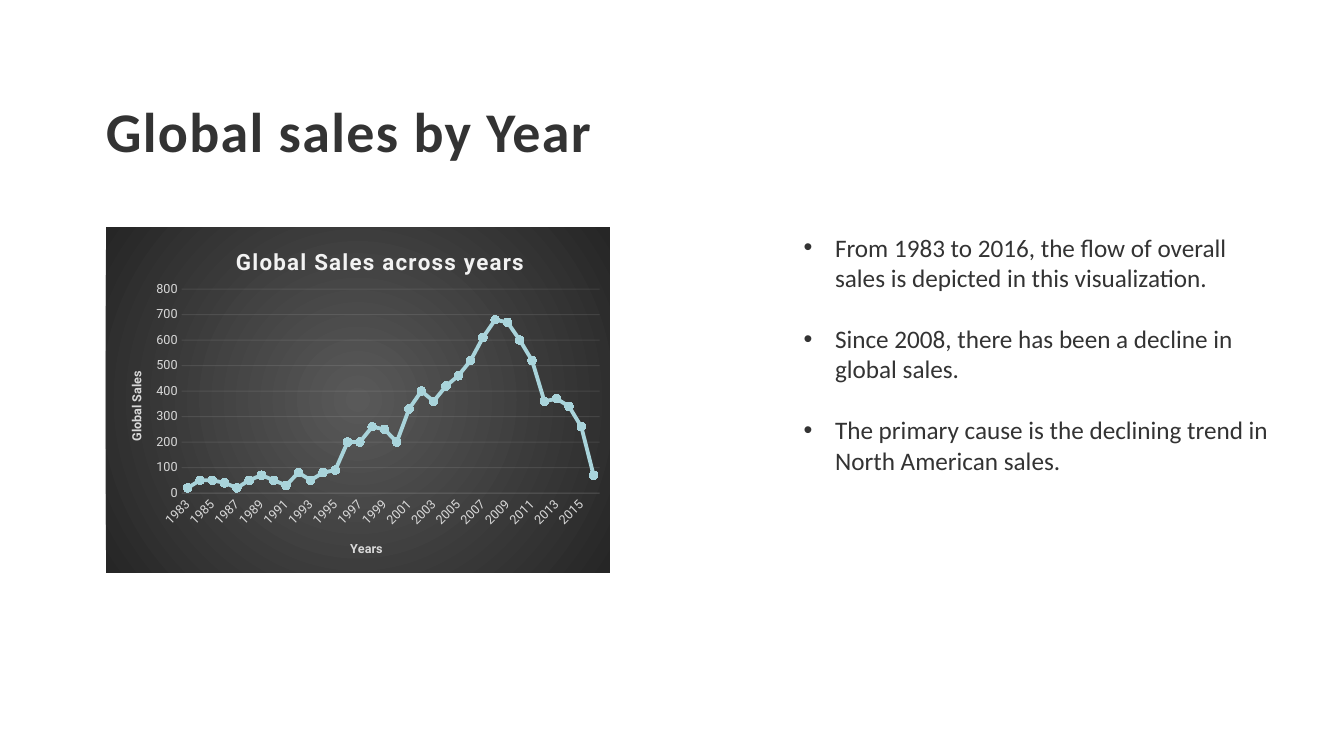
from lxml.etree import SubElement
from pptx import Presentation
from pptx.chart.data import CategoryChartData as ChartData
from pptx.dml.color import RGBColor as RGB
from pptx.enum.chart import XL_CHART_TYPE as CT, XL_MARKER_STYLE as MS, XL_TICK_MARK as TM
from pptx.enum.text import MSO_ANCHOR as ANCHOR, MSO_AUTO_SIZE as AUTO, PP_ALIGN as ALIGN
from pptx.oxml import parse_xml
from pptx.oxml.ns import nsdecls, qn
from pptx.util import Cm, Pt

COLORS = {"text": "333333", "title": "F2F2F2", "label": "D9D9D9", "grid": "F2F2F2",
          "inner": "595959", "outer": "262626", "line": "A9D4DB", "marker": "A7D6DD"}
SALES = [20, 50, 50, 40, 20, 50, 70, 50, 30, 80, 50, 80, 90, 200, 200, 260, 250,
         200, 330, 400, 360, 420, 460, 520, 610, 680, 670, 600, 520, 360, 370, 340,
         260, 70]
POINTS = ["From 1983 to 2016, the flow of overall sales is depicted in this visualization.",
          "Since 2008, there has been a decline in global sales.",
          "The primary cause is the declining trend in North American sales."]


def set_font(font, name, size, color, bold=False):
    """Format a font with a palette colour."""
    font.name, font.size, font.bold = name, Pt(size), bold
    font.color.rgb = RGB.from_string(COLORS[color])


def place(shape, box):
    """Move a shape to a box of left, top, width and height."""
    shape.left, shape.top, shape.width, shape.height = box


def add_title(s, box, text):
    """Fill the title placeholder."""
    sp = s.shapes.title
    place(sp, box)
    tf = sp.text_frame
    tf.text = text
    tf.auto_size = AUTO.NONE
    tf.vertical_anchor = ANCHOR.BOTTOM
    tf.margin_left = tf.margin_right = tf.margin_top = tf.margin_bottom = 0
    p = tf.paragraphs[0]
    p.alignment, p.line_spacing = ALIGN.LEFT, 0.9
    r = p.runs[0]
    set_font(r.font, "Calibri", 40, "text", True)
    r.font._element.set("spc", "100")


def add_points(s, box, points):
    """Fill the body placeholder with a bulleted list."""
    sp = s.placeholders[1]
    place(sp, box)
    tf = sp.text_frame
    tf.text = "\n".join(points)
    tf.auto_size = AUTO.NONE
    for p in tf.paragraphs:
        p.space_before, p.space_after = Pt(0), Pt(22)
        pPr = p._p.get_or_add_pPr()
        pPr.set("marL", str(Cm(0.79)))
        pPr.set("indent", str(-Cm(0.79)))
        pPr.append(parse_xml(f'<a:buFont {nsdecls("a")} typeface="Arial"/>'))
        pPr.append(parse_xml(f'<a:buChar {nsdecls("a")} char="•"/>'))
        set_font(p.runs[0].font, "Calibri", 18, "text")


def make_layout(x, y, w=None, h=None):
    """Return a manual chart layout in fractions of the chart."""
    inner = '<c:layoutTarget val="inner"/>' if w else ""
    size = f'<c:w val="{w}"/><c:h val="{h}"/>' if w else ""
    return parse_xml(f'<c:layout {nsdecls("c")}><c:manualLayout>{inner}'
                     '<c:xMode val="edge"/><c:yMode val="edge"/>'
                     f'<c:x val="{x}"/><c:y val="{y}"/>{size}'
                     '</c:manualLayout></c:layout>')


def set_layout(parent, layout, index):
    """Replace the layout of a chart part."""
    for old in parent.findall(qn("c:layout")):
        parent.remove(old)
    parent.insert(index, layout)


def set_chart_title(title, text, size, color, x, y, spacing=0, rotation=0):
    """Write, format and place a chart or axis title."""
    tf = title.text_frame
    tf.text = text
    r = tf.paragraphs[0].runs[0]
    set_font(r.font, "Roboto", size, color, True)
    r.font._element.set("spc", str(spacing))
    tf._txBody.bodyPr.set("rot", str(rotation * 60000))
    set_layout(title._element, make_layout(x, y), 1)


def set_faint(line):
    """Draw a thin, mostly transparent line."""
    line.width = Pt(0.75)
    line.color.rgb = RGB.from_string(COLORS["grid"])
    clr = line._ln.find(".//" + qn("a:srgbClr"))
    SubElement(clr, qn("a:alpha")).set("val", "10000")


def set_background(chart):
    """Give the chart a radial gradient."""
    stops = "".join(f'<a:gs pos="{pos}"><a:srgbClr val="{COLORS[key]}"/></a:gs>'
                    for pos, key in ((0, "inner"), (100000, "outer")))
    space = chart._chartSpace
    space.find(qn("c:chart")).addnext(parse_xml(
        f'<c:spPr {nsdecls("c", "a")}><a:gradFill><a:gsLst>{stops}</a:gsLst>'
        '<a:path path="circle"><a:fillToRect l="50000" t="50000" r="50000" b="50000"/>'
        '</a:path></a:gradFill><a:ln><a:noFill/></a:ln></c:spPr>'))


def add_sales_chart(s, box):
    """Add the line chart of sales by year."""
    data = ChartData()
    data.categories = [str(1983 + i) for i in range(len(SALES))]
    data.add_series("Series 1", SALES)
    chart = s.shapes.add_chart(CT.LINE_MARKERS, *box, data).chart
    set_font(chart.font, "Roboto", 10, "label")
    set_background(chart)
    chart.has_legend = False
    set_chart_title(chart.chart_title, "Global Sales across years", 16, "title",
                    0.25, 0.05, spacing=100)
    plot = chart.plots[0]
    plot.vary_by_categories = False
    set_layout(chart._chartSpace.chart.plotArea, make_layout(0.15, 0.18, 0.83, 0.59), 0)

    cat, val = chart.category_axis, chart.value_axis
    for axis in (cat, val):
        axis.major_tick_mark = axis.minor_tick_mark = TM.NONE
        set_font(axis.tick_labels.font, "Roboto", 9, "label")
    set_chart_title(cat.axis_title, "Years", 9, "label", 0.48, 0.9)
    set_chart_title(val.axis_title, "Global Sales", 9, "label", 0.04, 0.41, rotation=-90)
    cat._element.find(qn("c:txPr")).find(qn("a:bodyPr")).set("rot", "-2700000")
    cat._element.find(qn("c:noMultiLvlLbl")).addprevious(
        parse_xml(f'<c:tickLblSkip {nsdecls("c")} val="2"/>'))
    set_faint(cat.format.line)
    set_faint(val.major_gridlines.format.line)
    val.format.line.fill.background()
    val.minimum_scale, val.maximum_scale, val.major_unit = 0, 800, 100

    ser = plot.series[0]
    ser.smooth = False
    ser.format.line.width = Pt(2.75)
    ser.format.line.color.rgb = RGB.from_string(COLORS["line"])
    ser.marker.style, ser.marker.size = MS.CIRCLE, 6
    fmt = ser.marker.format
    fmt.fill.solid()
    fmt.fill.fore_color.rgb = RGB.from_string(COLORS["marker"])
    fmt.line.fill.background()


def build_slide(prs):
    """Build the slide of sales by year."""
    s = prs.slides.add_slide(prs.slide_layouts[1])
    left, top = Cm(2.67), Cm(5.72)
    add_title(s, (left, Cm(2.44), Cm(22.45), Cm(1.7)), "Global sales by Year")
    add_points(s, (Cm(20), top, Cm(12.47), Cm(6.4)), POINTS)
    add_sales_chart(s, (left, top, Cm(12.7), Cm(8.71)))


def main():
    """Create and save the presentation."""
    prs = Presentation()
    prs.slide_width, prs.slide_height = Cm(33.87), Cm(19.05)
    build_slide(prs)
    prs.save("out.pptx")


if __name__ == "__main__":
    main()
